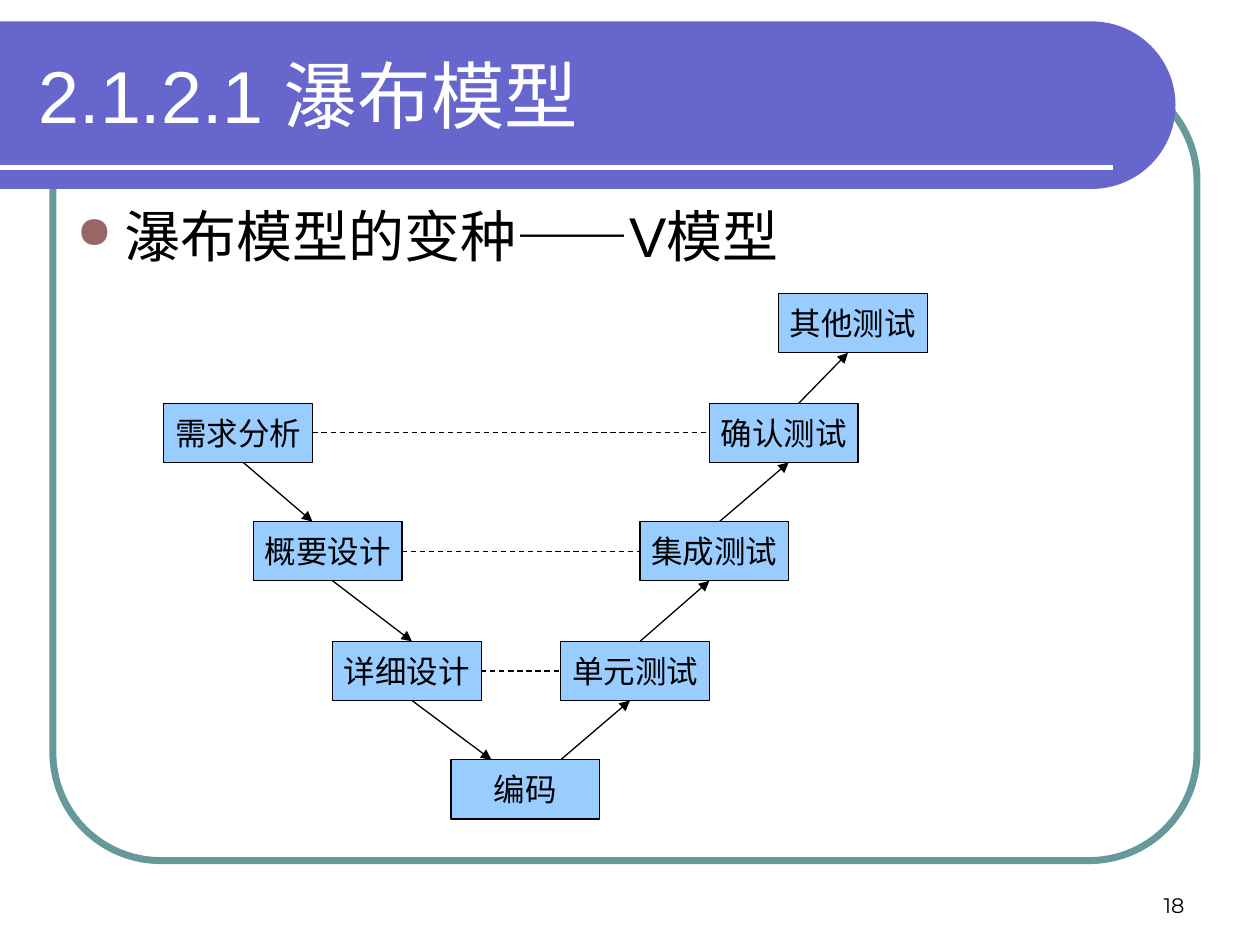
from math import cos, pi, sin

from lxml.etree import SubElement
from pptx import Presentation
from pptx.dml.color import RGBColor
from pptx.enum.dml import MSO_LINE_DASH_STYLE as Dash
from pptx.enum.shapes import MSO_CONNECTOR as Connector, MSO_SHAPE as Shape
from pptx.enum.text import MSO_ANCHOR as Anchor, PP_ALIGN as Align
from pptx.oxml.ns import qn
from pptx.util import Inches, Pt

WHITE = RGBColor(0xFF, 0xFF, 0xFF)
BLACK = RGBColor(0, 0, 0)
TEAL = RGBColor(0x66, 0x99, 0x99)
VIOLET = RGBColor(0x66, 0x66, 0xCC)
SKY = RGBColor(0x99, 0xCC, 0xFF)
BULLET_COLOR = "996666"

STAGE_WIDTH, STAGE_HEIGHT = 1.18, 0.47
STAGES = [
    ("需求分析", 0, 0.87),
    ("概要设计", 0.71, 1.81),
    ("详细设计", 1.34, 2.76),
    ("编码", 2.28, 3.7),
    ("单元测试", 3.15, 2.76),
    ("集成测试", 3.78, 1.81),
    ("确认测试", 4.33, 0.87),
    ("其他测试", 4.88, 0),
]
ARROW_OFFSETS = [(0.63, 0.47), (0.63, 0.63), (0.63, 0.32), (0.87, 0.55),
                 (0.63, 0.55), (0.63, 0.63), (0.71, 0.55)]
VERIFIED_BY = [("详细设计", "单元测试"), ("概要设计", "集成测试"), ("需求分析", "确认测试")]


def write(shape, text, size, color=BLACK, font="Arial", align=Align.LEFT, anchor=Anchor.TOP, wrap=True):
    """Put one styled paragraph in a shape and return it."""
    frame = shape.text_frame
    frame.text = text
    frame.word_wrap = wrap
    frame.vertical_anchor = anchor
    paragraph = frame.paragraphs[0]
    paragraph.alignment = align
    for run in paragraph.runs:
        run.font.size, run.font.name = Pt(size), font
        run.font.color.rgb = color
    return paragraph


def add_textbox(slide, box, text, size, **style):
    """Add a text box and return its paragraph."""
    return write(slide.shapes.add_textbox(*map(Inches, box)), text, size, **style)


def add_line(slide, start, end, color=BLACK, width=0.75):
    """Draw a straight line without a shadow."""
    line = slide.shapes.add_connector(Connector.STRAIGHT, *map(Inches, (*start, *end)))
    line.line.color.rgb = color
    line.line.width = Pt(width)
    SubElement(line.element.spPr, qn("a:effectLst"))
    return line


def add_arrow(slide, start, end):
    """Draw a line that ends in a triangle."""
    arrow = add_line(slide, start, end)
    SubElement(arrow.line._get_or_add_ln(), qn("a:tailEnd"), type="triangle")


def add_frame(slide, box):
    """Draw the rounded outline around the content."""
    frame = slide.shapes.add_shape(Shape.ROUNDED_RECTANGLE, *map(Inches, box))
    frame.adjustments[0] = 0.137
    frame.shadow.inherit = False
    frame.fill.background()
    frame.line.color.rgb = TEAL
    frame.line.width = Pt(4)


def add_banner(slide, box, title):
    """Draw the round-ended banner with its rule and title."""
    left, top, width, height = box
    radius = height / 2
    center_x, center_y = left + width - radius, top + radius
    steps = 48
    arc = [(center_x + radius * sin(pi * i / steps), center_y - radius * cos(pi * i / steps))
           for i in range(steps + 1)]
    outline = [(Inches(x), Inches(y)) for x, y in [*arc, (left, top + height)]]
    builder = slide.shapes.build_freeform(Inches(left), Inches(top))
    builder.add_line_segments(outline, close=True)
    banner = builder.convert_to_shape()
    banner.shadow.inherit = False
    banner.fill.solid()
    banner.fill.fore_color.rgb = VIOLET
    banner.line.fill.background()
    rule_y = top + height - 0.17
    add_line(slide, (left, rule_y), (left + width - 0.5, rule_y), WHITE, 3)
    add_textbox(slide, (left + 0.21, top + 0.08, 8.77, 1), title, 42, color=WHITE, anchor=Anchor.MIDDLE)


def add_bullet(slide, box, text):
    """Write the bulleted heading."""
    paragraph = add_textbox(slide, box, text, 32)
    properties = paragraph._p.get_or_add_pPr()
    properties.set("marL", str(Inches(0.38)))
    properties.set("indent", str(-Inches(0.38)))
    bullet_color = SubElement(properties, qn("a:buClr"))
    SubElement(bullet_color, qn("a:srgbClr"), val=BULLET_COLOR)
    SubElement(properties, qn("a:buSzPct"), val="80000")
    SubElement(properties, qn("a:buChar"), char="●")


def add_stage(slide, box, name):
    """Draw one process stage."""
    stage = slide.shapes.add_shape(Shape.FLOWCHART_PROCESS, *map(Inches, box))
    stage.shadow.inherit = False
    stage.fill.solid()
    stage.fill.fore_color.rgb = SKY
    stage.line.color.rgb = BLACK
    stage.line.width = Pt(0.75)
    write(stage, name, 18, align=Align.CENTER, anchor=Anchor.MIDDLE, wrap=False)
    return stage


def add_v_model(slide, left, top):
    """Draw the V of stages, its arrows and its verification links."""
    places = [(left + x, top + y) for _, x, y in STAGES]
    stages = {name: add_stage(slide, (*place, STAGE_WIDTH, STAGE_HEIGHT), name)
              for (name, _, _), place in zip(STAGES, places)}
    for (x1, y1), (x2, y2), (leave, arrive) in zip(places, places[1:], ARROW_OFFSETS):
        downward = y2 > y1
        start_y = y1 + STAGE_HEIGHT if downward else y1
        end_y = y2 if downward else y2 + STAGE_HEIGHT
        add_arrow(slide, (x1 + leave, start_y), (x2 + arrive, end_y))
    for design, test in VERIFIED_BY:
        link = add_line(slide, (left, top), (left, top))
        link.begin_connect(stages[design], 3)
        link.end_connect(stages[test], 1)
        link.line.dash_style = Dash.DASH


def main():
    """Build and save the slide."""
    deck = Presentation()
    deck.slide_width, deck.slide_height = Inches(10), Inches(7.5)
    slide = deck.slides.add_slide(deck.slide_layouts[6])
    add_frame(slide, (0.42, 0.58, 9.08, 6.25))
    add_banner(slide, (0, 0.17, 9.33, 1.33), "2.1.2.1 瀑布模型")
    add_textbox(slide, (7.17, 6.83, 2.33, 0.5), "18", 12, font="Montserrat",
                align=Align.RIGHT, anchor=Anchor.BOTTOM)
    add_bullet(slide, (0.51, 1.55, 8.67, 0.74), "瀑布模型的变种——V模型")
    add_v_model(slide, 1.3, 2.33)
    deck.save("out.pptx")


if __name__ == "__main__":
    main()
